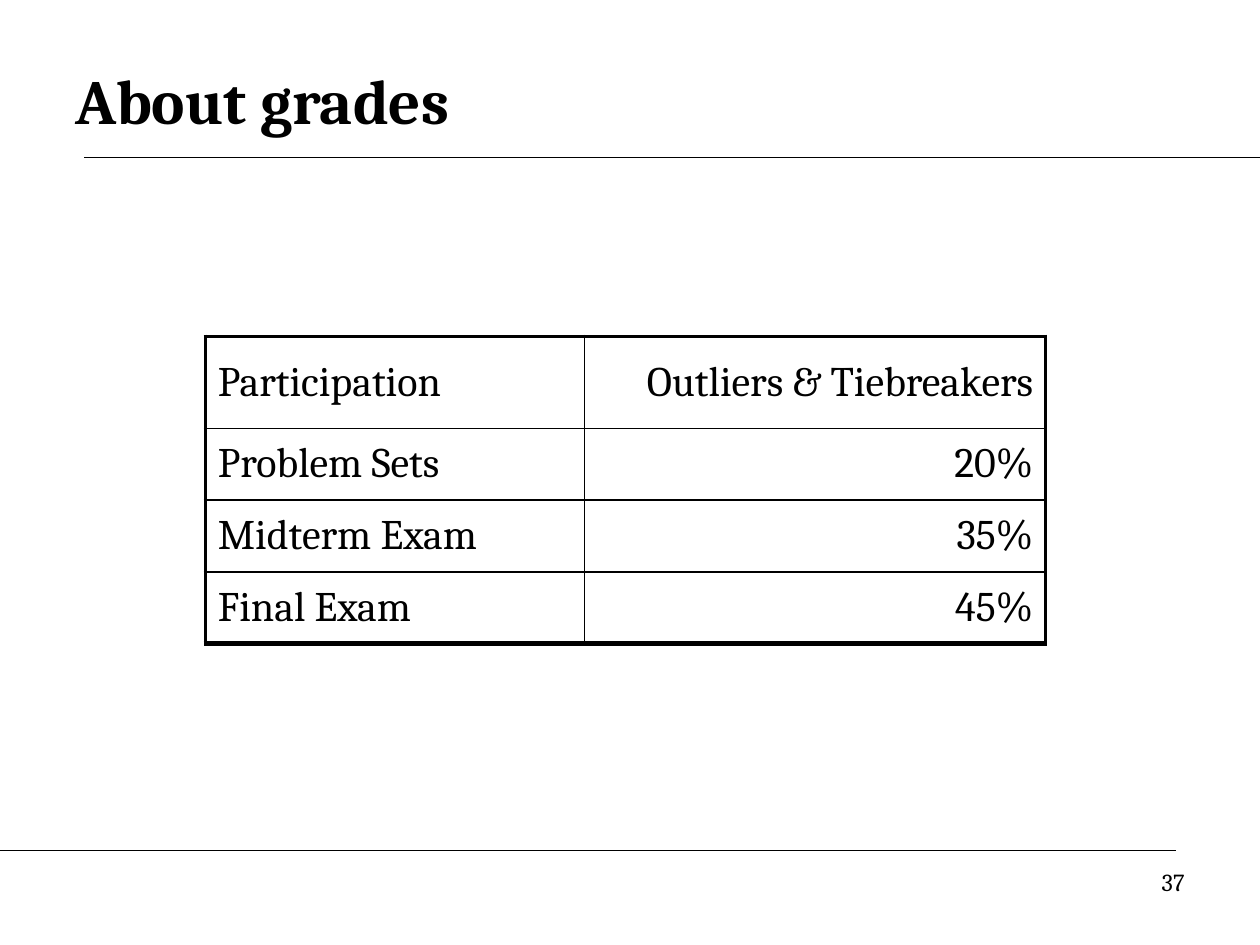
import pptx
import pptx.dml.color
import pptx.enum.shapes
import pptx.enum.text
import pptx.oxml.ns
import pptx.util
from lxml import etree

Inches = pptx.util.Inches
Pt = pptx.util.Pt
ALIGN = pptx.enum.text.PP_ALIGN
ANCHOR = pptx.enum.text.MSO_ANCHOR
qn = pptx.oxml.ns.qn

BLACK = pptx.dml.color.RGBColor(0, 0, 0)
FONT = "Cambria"

TITLE = "About grades"
PAGE_NUMBER = "37"
GRADES = [
    ("Participation", "Outliers & Tiebreakers"),
    ("Problem Sets", "20%"),
    ("Midterm Exam", "35%"),
    ("Final Exam", "45%"),
]
COLUMN_WIDTHS = [3.01, 3.66]
ROW_HEIGHTS = [0.73, 0.57, 0.57, 0.57]
RULES = [((0.67, 1.25), (10, 1.25)), ((0, 6.75), (9.33, 6.75))]
INNER, OUTER, BOTTOM = 1, 2.25, 3


def write(text_frame, text, size, align=ALIGN.LEFT, bold=False):
    text_frame.text = text
    paragraph = text_frame.paragraphs[0]
    paragraph.alignment = align
    font = paragraph.runs[0].font
    font.name, font.size, font.bold = FONT, Pt(size), bold
    font.color.rgb = BLACK


def add_text(slide, box, text, size, anchor, **style):
    text_frame = slide.shapes.add_textbox(*map(Inches, box)).text_frame
    text_frame.word_wrap = True
    text_frame.vertical_anchor = anchor
    write(text_frame, text, size, **style)


def add_rule(slide, start, end):
    line = slide.shapes.add_connector(
        pptx.enum.shapes.MSO_CONNECTOR.STRAIGHT, *map(Inches, start + end))
    line.line.color.rgb = BLACK
    line.line.width = Pt(0.75)
    etree.SubElement(line._element.spPr, qn("a:effectLst"))


def set_borders(cell, widths):
    """Draw black cell borders; widths maps L, R, T and B to points."""
    properties = cell._tc.get_or_add_tcPr()
    for side, width in widths.items():
        border = etree.SubElement(properties, qn(f"a:ln{side}"), w=str(Pt(width)))
        fill = etree.SubElement(border, qn("a:solidFill"))
        etree.SubElement(fill, qn("a:srgbClr"), val=str(BLACK))


def add_grades_table(slide):
    table = slide.shapes.add_table(
        len(GRADES), len(COLUMN_WIDTHS), Inches(1.63), Inches(2.67),
        Inches(sum(COLUMN_WIDTHS)), Inches(sum(ROW_HEIGHTS))).table
    table.first_row = table.horz_banding = False
    for column, width in zip(table.columns, COLUMN_WIDTHS):
        column.width = Inches(width)
    last_row, last_column = len(GRADES) - 1, len(COLUMN_WIDTHS) - 1
    for i, texts in enumerate(GRADES):
        table.rows[i].height = Inches(ROW_HEIGHTS[i])
        for j, text in enumerate(texts):
            cell = table.cell(i, j)
            cell.vertical_anchor = ANCHOR.MIDDLE
            write(cell.text_frame, text, 24, ALIGN.RIGHT if j else ALIGN.LEFT)
            set_borders(cell, {
                "L": OUTER if j == 0 else INNER,
                "R": OUTER if j == last_column else INNER,
                "T": OUTER if i == 0 else INNER,
                "B": BOTTOM if i == last_row else INNER,
            })
            cell.fill.background()


def main():
    presentation = pptx.Presentation()
    presentation.slide_width = Inches(10)
    presentation.slide_height = Inches(7.5)
    slide = presentation.slides.add_slide(presentation.slide_layouts[6])
    for start, end in RULES:
        add_rule(slide, start, end)
    add_text(slide, (0.5, 0.33, 9, 0.92), TITLE, 36, ANCHOR.MIDDLE, bold=True)
    add_grades_table(slide)
    add_text(slide, (7.17, 6.83, 2.33, 0.52), PAGE_NUMBER, 14, ANCHOR.TOP,
             align=ALIGN.RIGHT)
    presentation.save("out.pptx")


if __name__ == "__main__":
    main()
